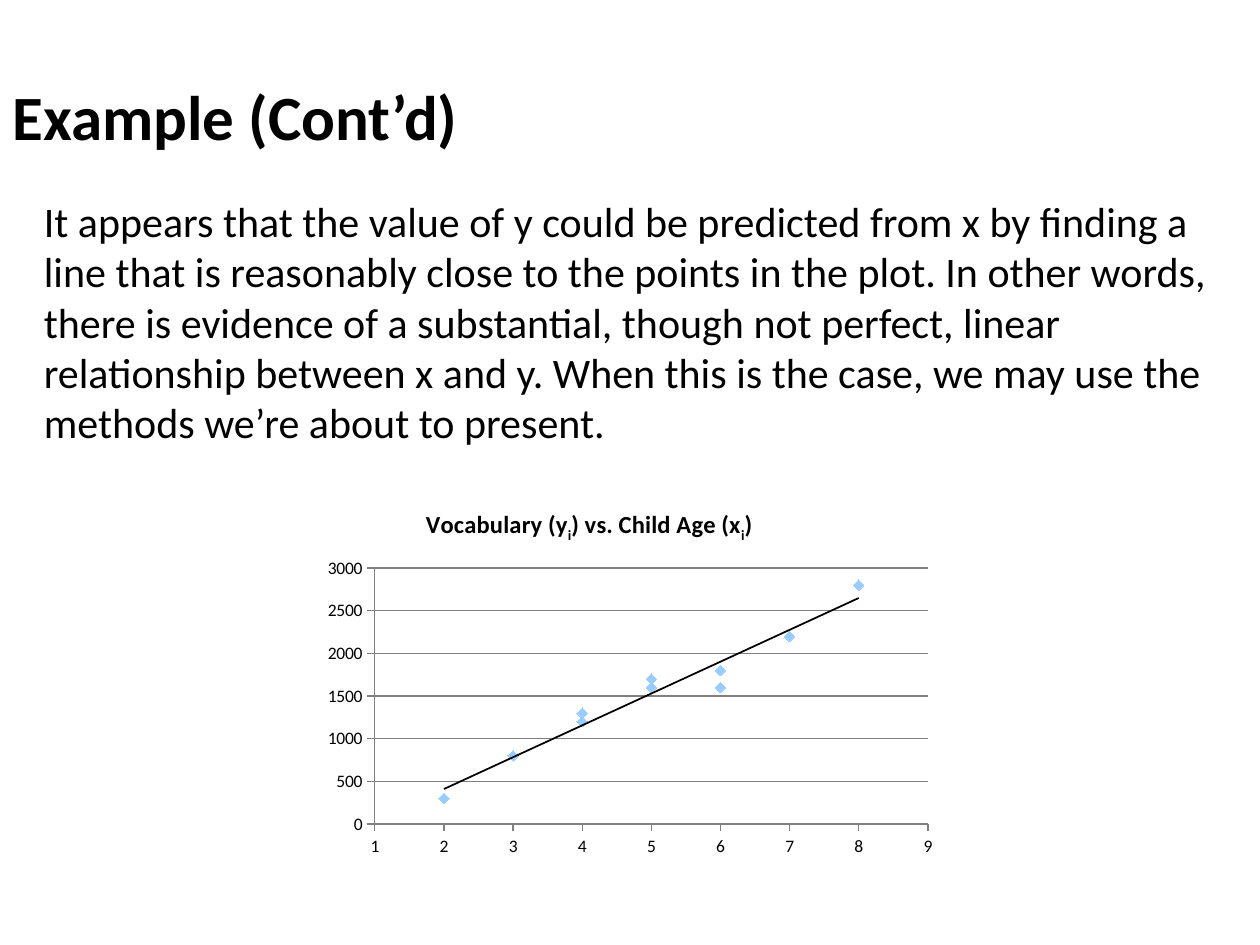
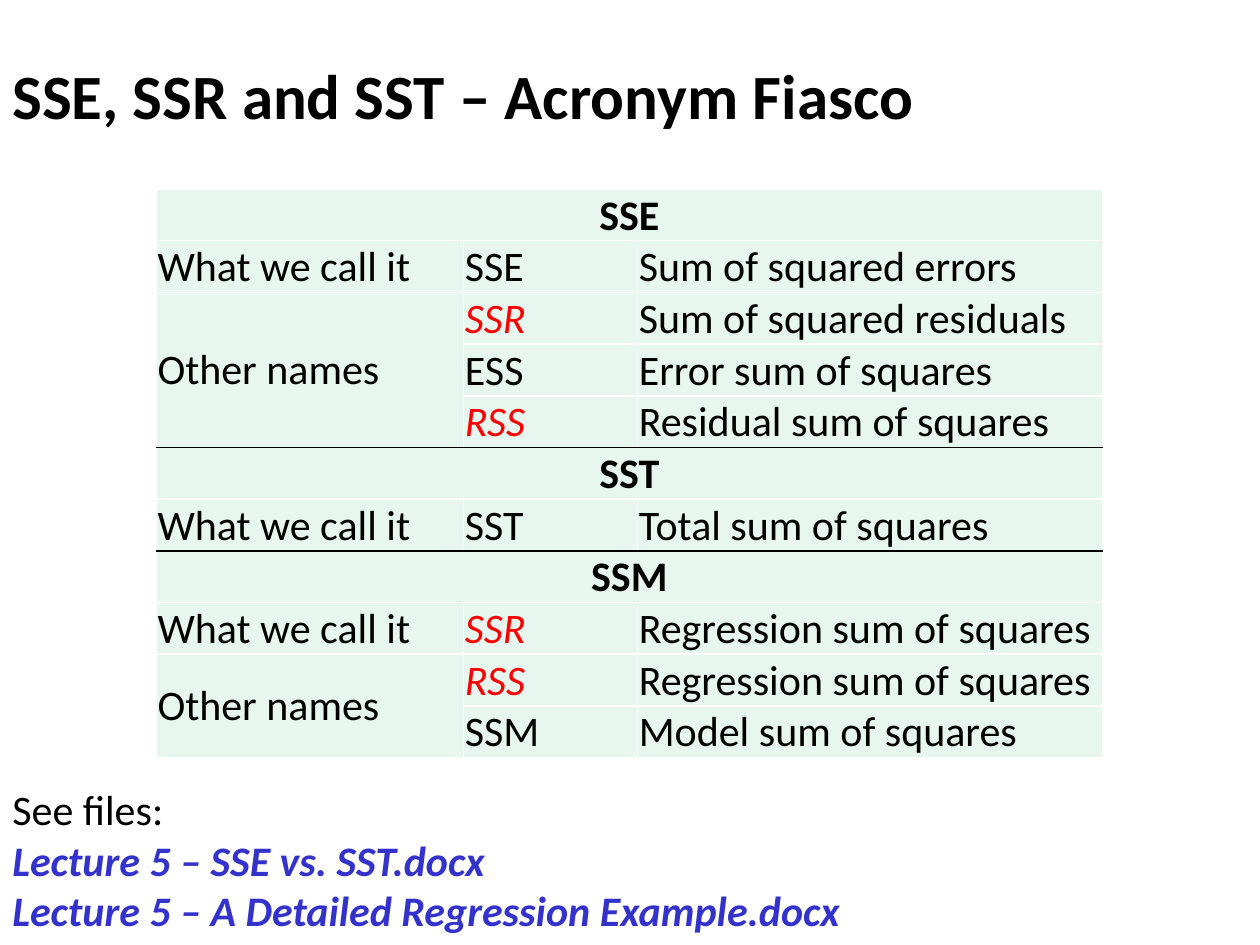
"""Build two slides on linear regression: a scatter chart and a table of acronyms."""
from pptx import Presentation
from pptx.chart.data import XyChartData
from pptx.dml.color import RGBColor
from pptx.enum.chart import XL_CHART_TYPE, XL_MARKER_STYLE, XL_TICK_MARK
from pptx.enum.text import MSO_ANCHOR, PP_ALIGN
from pptx.oxml import parse_xml
from pptx.oxml.ns import nsdecls, qn
from pptx.util import Inches, Pt

HUES = {"ink": "000000", "white": "FFFFFF", "mint": "E7F6EF", "red": "FF0000",
        "blue": "3333CC", "dot": "99CCFF", "grid": "808080"}
FONT = "Calibri"
BODY = ("It appears that the value of y could be predicted from x by finding a line "
        "that is reasonably close to the points in the plot. In other words, there is "
        "evidence of a substantial, though not perfect, linear relationship between x "
        "and y. When this is the case, we may use the methods we’re about to present.")
DATA = [(8, 2800), (3, 800), (4, 1200), (5, 1700), (6, 1600),
        (6, 1800), (2, 300), (7, 2200), (4, 1300), (5, 1600)]
CALL, OTHER = "What we call it", "Other names"
ROWS = [
    ("SSE",),
    (CALL, "SSE", "Sum of squared errors"),
    (OTHER, "SSR", "Sum of squared residuals"),
    ("", "ESS", "Error sum of squares"),
    ("", "RSS", "Residual sum of squares"),
    ("SST",),
    (CALL, "SST", "Total sum of squares"),
    ("SSM",),
    (CALL, "SSR", "Regression sum of squares"),
    (OTHER, "RSS", "Regression sum of squares"),
    ("", "SSM", "Model sum of squares"),
]
CLASH = ("SSR", "RSS")


def rgb(name):
    return RGBColor.from_string(HUES[name])


def put(node, index, **spots):
    """Give a chart part a fixed layout."""
    for old in node.findall(qn("c:layout")):
        node.remove(old)
    marks = "".join(f'<c:{key} val="{val}"/>' for key, val in spots.items())
    inner = '<c:layoutTarget val="inner"/>' if "w" in spots else ""
    modes = '<c:xMode val="edge"/><c:yMode val="edge"/>'
    node.insert(index, parse_xml(
        f'<c:layout {nsdecls("c")}><c:manualLayout>{inner}{modes}{marks}'
        '</c:manualLayout></c:layout>'))


class Deck:
    """Holds the style and the current slide."""

    def __init__(self):
        self.show = Presentation()
        self.show.slide_width, self.show.slide_height = Inches(10), Inches(7.5)
        self.slide = None

    def page(self, title, top):
        self.slide = self.show.slides.add_slide(self.show.slide_layouts[6])
        frame = self.text([title], 0, top, 9.25, 0.83, size=36, bold=True)
        frame.vertical_anchor = MSO_ANCHOR.MIDDLE

    def style(self, para, size=24, hue="ink", bold=False, italic=False):
        for run in para.runs:
            font = run.font
            font.name, font.size, font.bold, font.italic = FONT, Pt(size), bold, italic
            font.color.rgb = rgb(hue)

    def text(self, lines, left, top, width, height, **look):
        box = self.slide.shapes.add_textbox(*map(Inches, (left, top, width, height)))
        frame = box.text_frame
        frame.word_wrap = True
        frame.text = "\n".join(lines)
        for para in frame.paragraphs:
            self.style(para, **look)
        return frame

    def axis(self, axis, low, high, step):
        axis.minimum_scale, axis.maximum_scale, axis.major_unit = low, high, step
        axis.major_tick_mark = XL_TICK_MARK.OUTSIDE
        axis.format.line.color.rgb = rgb("grid")
        font = axis.tick_labels.font
        font.name, font.size, font.color.rgb = FONT, Pt(10), rgb("ink")

    def chart(self, parts, pairs, left, top, width, height):
        data = XyChartData()
        dots = data.add_series("Series 1")
        for pair in pairs:
            dots.add_data_point(*pair)
        chart = self.slide.shapes.add_chart(
            XL_CHART_TYPE.XY_SCATTER, *map(Inches, (left, top, width, height)), data).chart
        chart.has_legend = False
        chart.font.size = Pt(10)
        chart.font.name = "Times New Roman"
        self.axis(chart.category_axis, 1, 9, 1)
        self.axis(chart.value_axis, 0, 3000, 500)
        chart.category_axis.has_major_gridlines = False
        chart.value_axis.has_major_gridlines = True
        chart.value_axis.major_gridlines.format.line.color.rgb = rgb("grid")
        para = chart.chart_title.text_frame.paragraphs[0]
        for index, part in enumerate(parts):
            run = para.add_run()
            run.text = part
            if index % 2:
                run.font._element.set("baseline", "-25000")
        self.style(para, size=14, bold=True)
        put(chart.element.find(".//" + qn("c:title")), 1, x=0.17, y=0.05)
        put(chart.element.find(".//" + qn("c:plotArea")), 0, x=0.095, y=0.22, w=0.878, h=0.677)
        self.trend(chart.plots[0])

    def trend(self, plot):
        plot.vary_by_categories = False
        series = plot.series[0]
        series.smooth = False
        series.format.line.fill.background()
        mark = series.marker
        mark.style, mark.size = XL_MARKER_STYLE.DIAMOND, 6
        mark.format.fill.solid()
        mark.format.fill.fore_color.rgb = rgb("dot")
        mark.format.line.color.rgb = rgb("dot")
        series._element.find(qn("c:xVal")).addprevious(parse_xml(
            f'<c:trendline {nsdecls("c", "a")}><c:spPr><a:ln w="12700"><a:solidFill>'
            f'<a:srgbClr val="{HUES["ink"]}"/></a:solidFill></a:ln></c:spPr>'
            '<c:trendlineType val="linear"/><c:dispRSqr val="0"/><c:dispEq val="0"/>'
            '</c:trendline>'))

    def edges(self, cell, above, below):
        hues = {"L": "white", "R": "white", "T": above, "B": below}
        for index, (side, hue) in enumerate(hues.items()):
            cell._tc.get_or_add_tcPr().insert(index, parse_xml(
                f'<a:ln{side} {nsdecls("a")} w="12700"><a:solidFill>'
                f'<a:srgbClr val="{HUES[hue]}"/></a:solidFill></a:ln{side}>'))

    def cell(self, cell, text, head):
        cell.fill.solid()
        cell.fill.fore_color.rgb = rgb("mint")
        cell.margin_left = cell.margin_right = cell.margin_top = Inches(0.01)
        cell.margin_bottom = 0
        cell.vertical_anchor = MSO_ANCHOR.MIDDLE if text == OTHER else MSO_ANCHOR.BOTTOM
        cell.text_frame.text = text
        para = cell.text_frame.paragraphs[0]
        para.alignment = PP_ALIGN.CENTER if head else PP_ALIGN.LEFT
        clash = text in CLASH
        self.style(para, hue="red" if clash else "ink", bold=head, italic=clash)

    def table(self, rows, left, top, widths, high):
        grid = self.slide.shapes.add_table(
            len(rows), len(widths), Inches(left), Inches(top),
            Inches(sum(widths)), Inches(high * len(rows))).table
        for col, width in zip(grid.columns, widths):
            col.width = Inches(width)
        heads = [len(row) == 1 for row in rows]
        for r, row in enumerate(rows):
            grid.rows[r].height = Inches(high)
            above = "ink" if r and heads[r] else "white"
            below = "ink" if any(heads[r + 1:r + 2]) else "white"
            for c in range(len(widths)):
                self.cell(grid.cell(r, c), row[c] if c < len(row) else "", heads[r])
                self.edges(grid.cell(r, c), above, below)
        for r, row in enumerate(rows):
            if heads[r]:
                grid.cell(r, 0).merge(grid.cell(r, len(widths) - 1))
            elif row[0] == OTHER:
                last = r
                while last + 1 < len(rows) and not rows[last + 1][0]:
                    last += 1
                grid.cell(r, 0).merge(grid.cell(last, 0))


def main():
    deck = Deck()
    deck.page("Example (Cont’d)", 0.5)
    deck.text([BODY], 0.25, 1.5, 9.5, 5.35)
    deck.chart(["Vocabulary (y", "i", ") vs. Child Age (x", "i", ")"], DATA, 2.5, 3.85, 5, 3)

    deck.page("SSE, SSR and SST – Acronym Fiasco", 0.33)
    deck.table(ROWS, 1.24, 1.5, (2.44, 1.38, 3.69), 0.41)
    files = deck.text(["See files:", "Lecture 5 – SSE vs. SST.docx",
                       "Lecture 5 – A Detailed Regression Example.docx"], 0, 6.17, 10, 1.31)
    for para in files.paragraphs[1:]:
        deck.style(para, hue="blue", bold=True, italic=True)
    deck.show.save("out.pptx")


if __name__ == "__main__":
    main()
